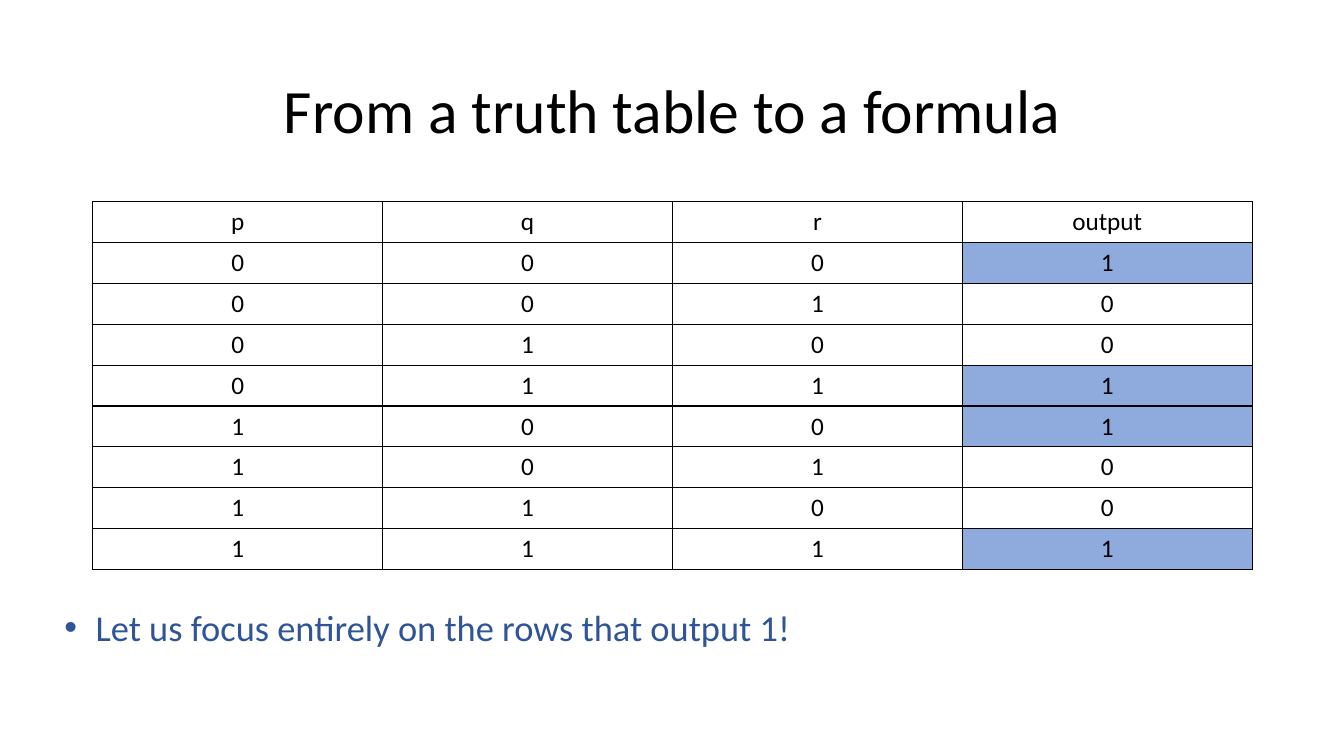
import itertools

import pptx
import pptx.dml.color
import pptx.enum.text
import pptx.oxml
import pptx.oxml.ns
import pptx.util

WIDTH, HEIGHT = 13.33, 7.5
MARGIN, CONTENT_WIDTH = 0.92, 11.5
BLACK, HIGHLIGHT, NOTE_BLUE = "000000", "8FAADC", "2F5597"
CENTER = pptx.enum.text.PP_ALIGN.CENTER
MIDDLE = pptx.enum.text.MSO_ANCHOR.MIDDLE
GROW = pptx.enum.text.MSO_AUTO_SIZE.SHAPE_TO_FIT_TEXT


def color(hex_value):
    return pptx.dml.color.RGBColor.from_string(hex_value)


def set_attributes(target, formats):
    for name, value in formats.items():
        setattr(target, name, value)


def write(tf, text, size, hex_value=BLACK, **formats):
    """Put one formatted paragraph into a text frame and return it."""
    p = tf.paragraphs[0]
    set_attributes(p, formats)
    r = p.add_run()
    r.text = text
    set_attributes(r.font, {"name": "Calibri", "size": pptx.util.Pt(size)})
    r.font.color.rgb = color(hex_value)
    return p


def inches(*lengths):
    return [pptx.util.Inches(length) for length in lengths]


def add_title(s, text):
    sp = s.shapes.title
    left, top, width, height = inches(MARGIN, 0.4, CONTENT_WIDTH, 1.45)
    set_attributes(sp, {"left": left, "top": top, "width": width, "height": height})
    sp.text_frame.vertical_anchor = MIDDLE
    write(sp.text_frame, text, 44, alignment=CENTER, line_spacing=0.9)


def add_borders(cell, points=1, hex_value=BLACK):
    tc_pr = cell._tc.get_or_add_tcPr()
    for side in "LRTB":
        tc_pr.append(pptx.oxml.parse_xml(
            f'<a:ln{side} {pptx.oxml.ns.nsdecls("a")} w="{pptx.util.Pt(points)}">'
            f'<a:solidFill><a:srgbClr val="{hex_value}"/></a:solidFill></a:ln{side}>'))


def add_truth_table(s, names, formula):
    """List every assignment of the variables and shade the outputs that are 1."""
    assignments = itertools.product((0, 1), repeat=len(names))
    rows = [(*names, "output")] + [(*v, int(formula(*v))) for v in assignments]
    output_col = len(names)
    frame = s.shapes.add_table(len(rows), output_col + 1,
                               *inches(MARGIN, 2, CONTENT_WIDTH, 3.65))
    table = frame.table
    set_attributes(table, {"first_row": False, "horz_banding": False})
    for i, row in enumerate(rows):
        for j, value in enumerate(row):
            cell = table.cell(i, j)
            write(cell.text_frame, str(value), 18, alignment=CENTER)
            add_borders(cell)
            if j == output_col and value == 1:
                cell.fill.solid()
                cell.fill.fore_color.rgb = color(HIGHLIGHT)
            else:
                cell.fill.background()


def add_bullet_note(s, text):
    tf = s.shapes.add_textbox(*inches(0.54, 5.95, 12.44, 0.54)).text_frame
    set_attributes(tf, {"word_wrap": True, "auto_size": GROW})
    p_pr = write(tf, text, 26, NOTE_BLUE)._p.get_or_add_pPr()
    indent = pptx.util.Inches(0.31)
    p_pr.set("marL", str(indent))
    p_pr.set("indent", str(-indent))
    ns = pptx.oxml.ns.nsdecls("a")
    p_pr.append(pptx.oxml.parse_xml(f'<a:buFont {ns} typeface="Arial"/>'))
    p_pr.append(pptx.oxml.parse_xml(f'<a:buChar {ns} char="•"/>'))


def main():
    prs = pptx.Presentation()
    prs.slide_width, prs.slide_height = inches(WIDTH, HEIGHT)
    s = prs.slides.add_slide(prs.slide_layouts[5])
    add_title(s, "From a truth table to a formula")
    add_truth_table(s, "pqr", lambda p, q, r: q == r)
    add_bullet_note(s, "Let us focus entirely on the rows that output 1!")
    prs.save("out.pptx")


if __name__ == "__main__":
    main()
